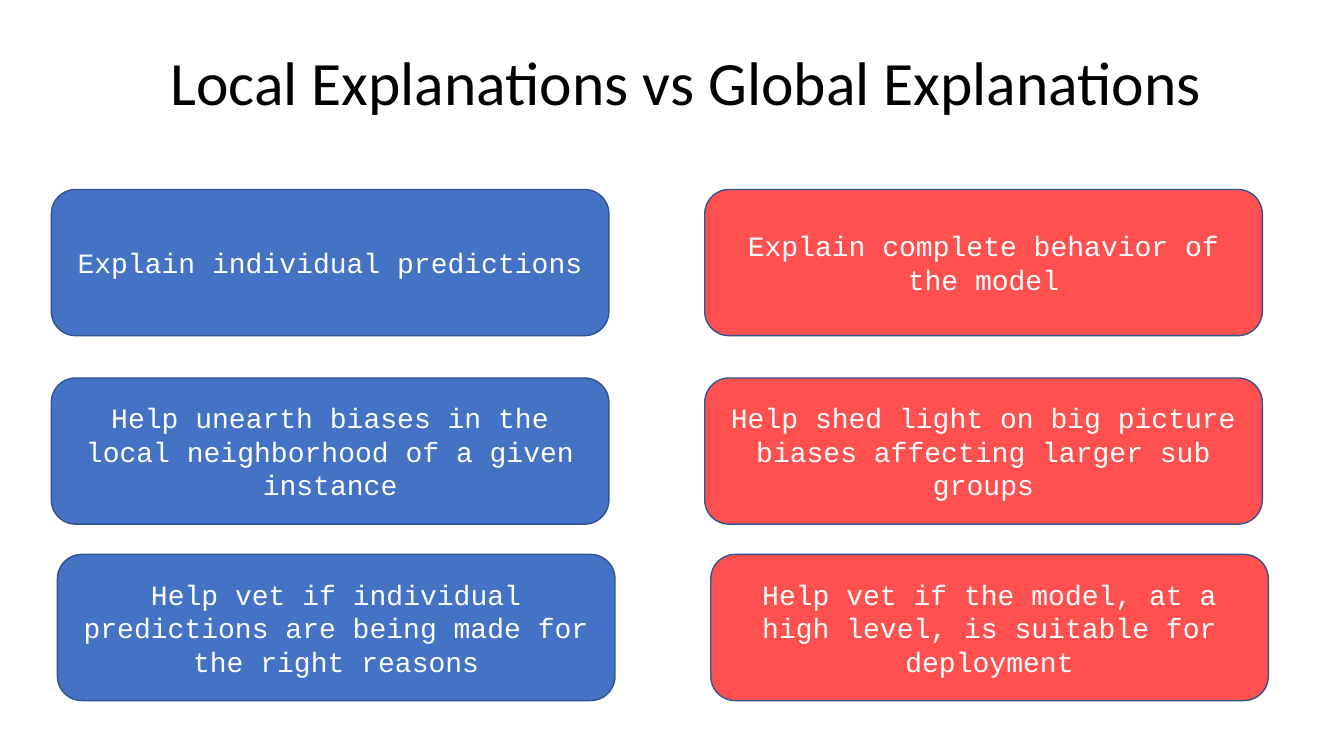
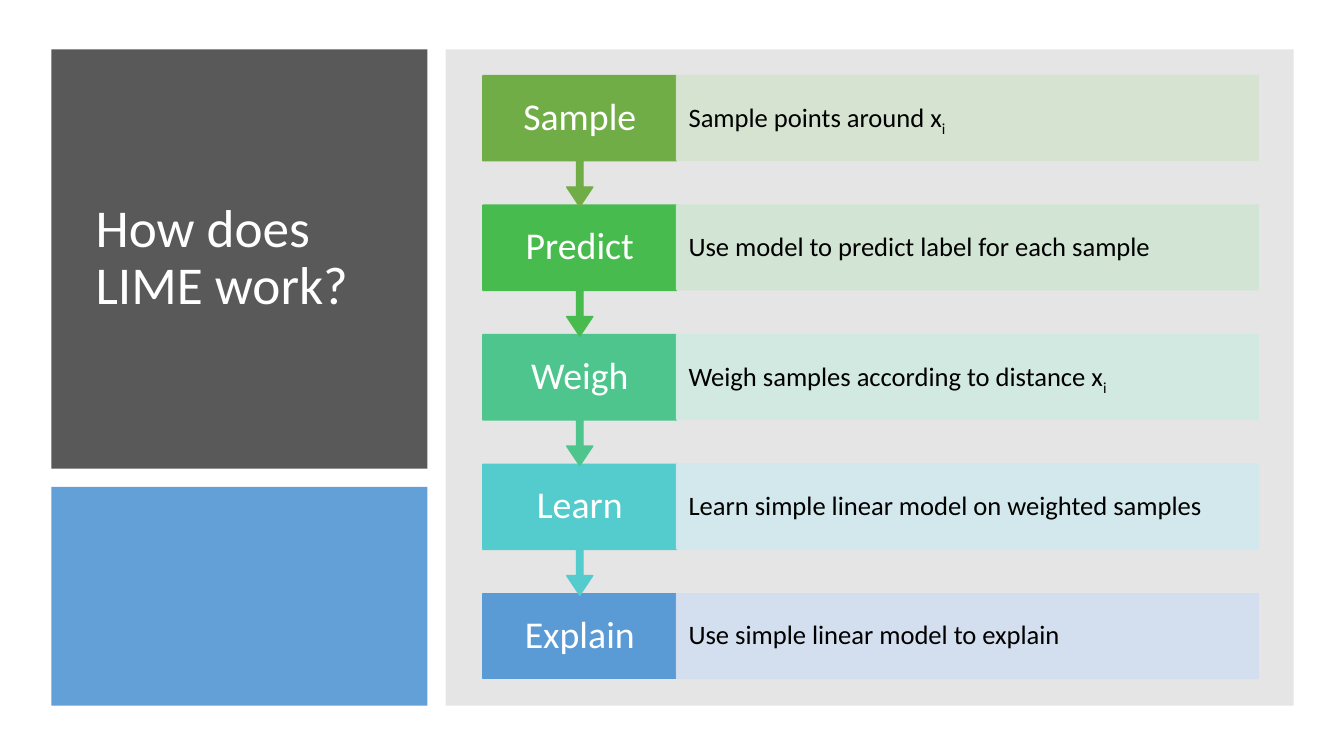
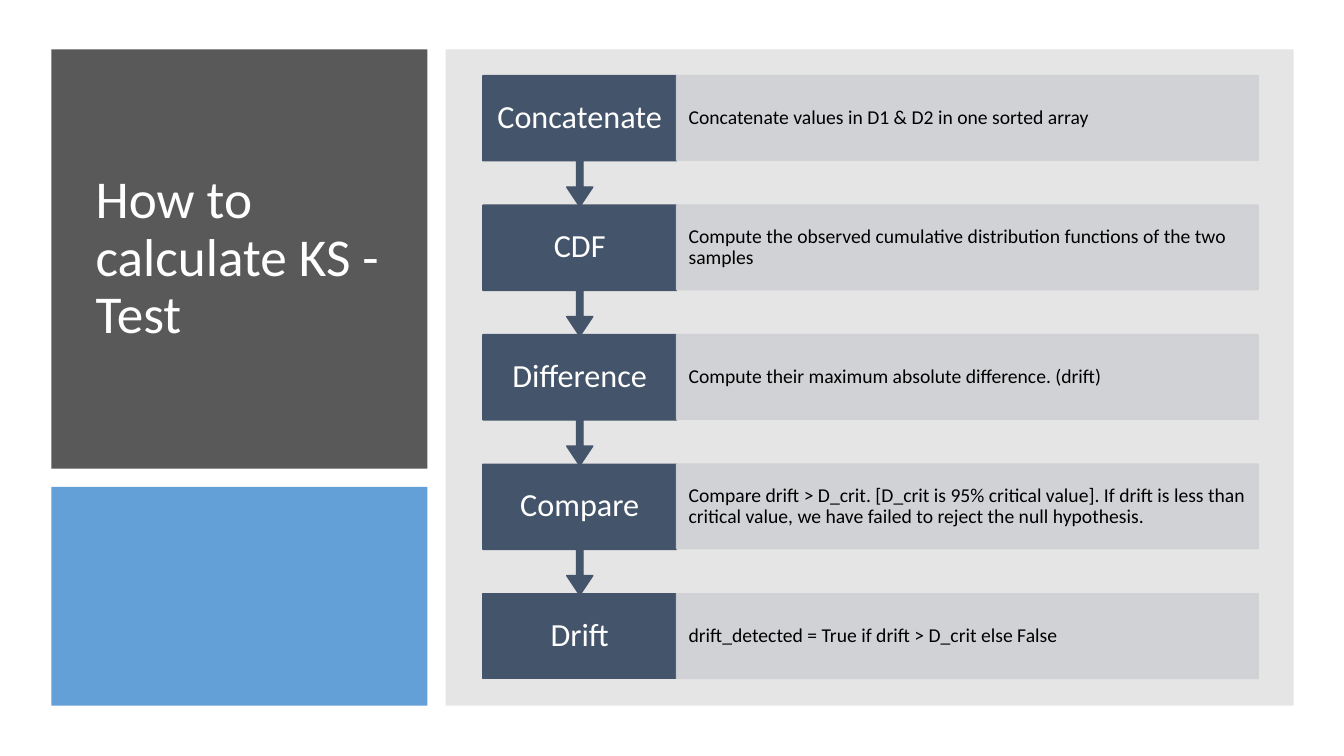
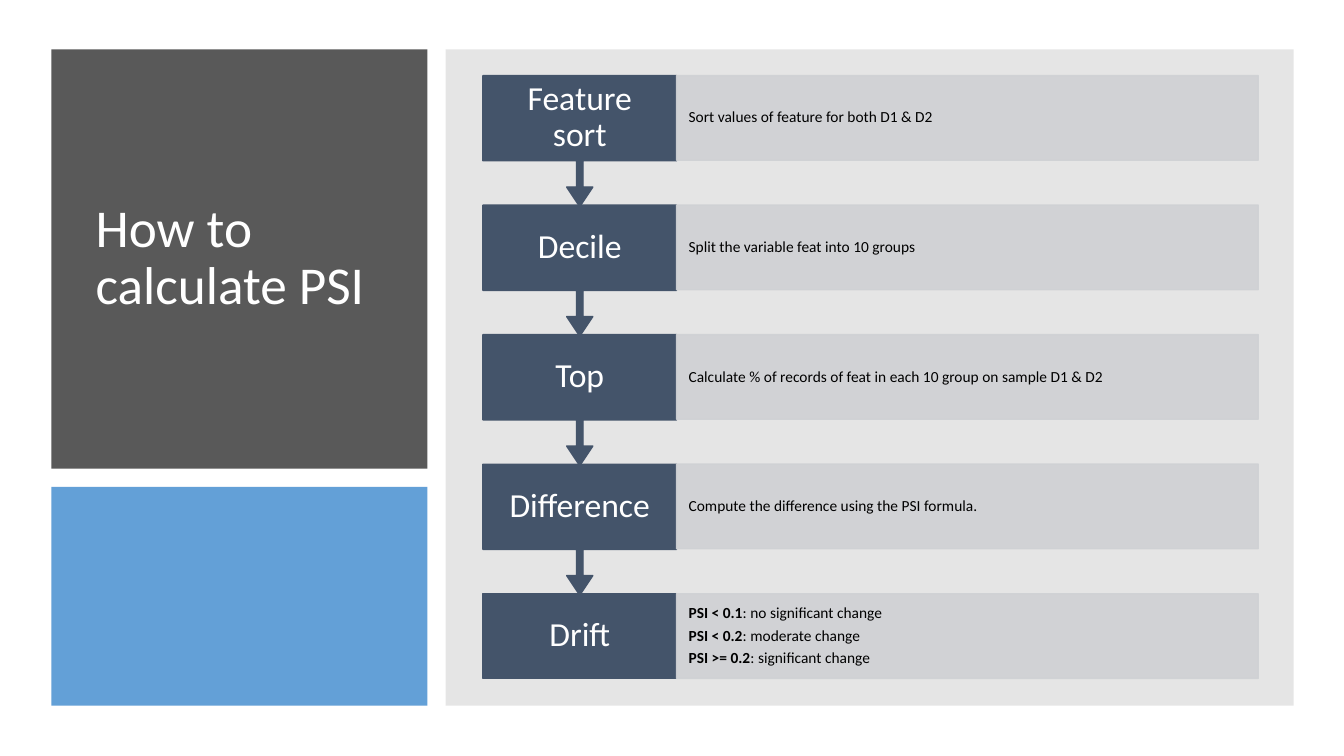
"""Build four slides on model explanations and drift tests."""
from lxml import etree
from pptx import Presentation, util as u
from pptx.dml.color import RGBColor
from pptx.enum import shapes, text
from pptx.oxml import ns

KIND = shapes.MSO_SHAPE
LEFT, MID = text.PP_ALIGN.LEFT, text.PP_ALIGN.CENTER
WHITE, BLACK = "FFFFFF", "000000"
BLUE, RED, EDGE = "4472C4", "FF5050", "325491"
DARK, SKY, GREY = "595959", "5B9BD5", "808080"
SLATE, PALE = "44546A", "CFD1D4"


def paint(fill, tone, alpha=100):
    fill.solid()
    fill.fore_color.rgb = RGBColor.from_string(tone)
    if alpha < 100:
        node = fill._xPr.find(ns.qn("a:solidFill"))[0]
        etree.SubElement(node, ns.qn("a:alpha")).set("val", str(alpha * 1000))


def put(page, kind, place, tone=None, alpha=100, line=None, words="", size=20,
        ink=WHITE, font="Calibri", align=LEFT, side=0.1, lead=0.9, after=0):
    place = [u.Inches(n) for n in place]
    if kind is None:
        shape = page.shapes.add_textbox(*place)
    else:
        shape = page.shapes.add_shape(kind, *place)
        shape.shadow.inherit = False
        paint(shape.fill, tone, alpha)
        if line:
            paint(shape.line.fill, line, alpha)
            shape.line.width = u.Pt(1)
        else:
            shape.line.fill.background()
    if words:
        frame = shape.text_frame
        frame.word_wrap = True
        frame.vertical_anchor = text.MSO_ANCHOR.MIDDLE
        frame.margin_left = frame.margin_right = u.Inches(side)
        frame.text = words.replace("|", "")
        for para, row in zip(frame.paragraphs, words.split("\n")):
            first, *rest = row.split("|")
            para.text = first
            for part in rest:
                para.add_run().text = part
            para.alignment = align
            para.line_spacing = lead
            para.space_after = u.Pt(after)
            for run in para.runs:
                run.font.name = font
                run.font.size = u.Pt(size)
                paint(run.font.fill, ink)
    return shape


deck = Presentation()
deck.slide_width, deck.slide_height = u.Inches(13.33), u.Inches(7.5)
blank = deck.slide_layouts[6]

page = deck.slides.add_slide(blank)
put(page, None, (1.59, 0.12, 11.5, 1.45), size=44, ink=BLACK,
    words="Local Explanations vs Global Explanations")
sides = [
    (0.51, BLUE, ["Explain individual predictions",
                  "Help unearth biases in the local neighborhood of a given instance",
                  "Help vet if individual predictions are being made for the right reasons"]),
    (6.99, RED, ["Explain complete behavior of the model",
                 "Help shed light on big picture biases affecting larger sub groups",
                 "Help vet if the model, at a high level, is suitable for deployment"]),
]
spots = [(0, 1.88), (0, 3.75), (0.06, 5.5)]
for left, tone, cards in sides:
    for (shift, top), words in zip(spots, cards):
        put(page, KIND.ROUNDED_RECTANGLE, (left + shift, top, 5.53, 1.45), tone,
            line=EDGE, words=words, font="Courier New", align=MID, lead=1.0)

flows = [
    ("How does LIME work?", 27, 19, [
        ("Sample", "Sample points around x|i", "70AD47", "D5E3CF"),
        ("Predict", "Use model to predict label for each sample", "48BB4F", "D0E6D4"),
        ("Weigh", "Weigh samples according to distance x|i", "4DC58D", "D0EAE1"),
        ("Learn", "Learn simple linear model on weighted samples", "54CCCD", "D1E9ED"),
        ("Explain", "Use simple linear model to explain", SKY, "D2DEEF"),
    ]),
    ("How to calculate KS - Test", 23, 14, [
        ("Concatenate", "Concatenate values in D1 & D2 in one sorted array", SLATE, PALE),
        ("CDF", "Compute the observed cumulative distribution functions of the two samples",
         SLATE, PALE),
        ("Difference", "Compute their maximum absolute difference. (drift)", SLATE, PALE),
        ("Compare", "Compare drift > D_crit. [D_crit is 95% critical value]. If drift is "
         "less than critical value, we have failed to reject the null hypothesis.",
         SLATE, PALE),
        ("Drift", "drift_detected = True if drift > D_crit else False", SLATE, PALE),
    ]),
    ("How to calculate PSI", 24, 11, [
        ("Feature sort", "Sort values of feature for both D1 & D2", SLATE, PALE),
        ("Decile", "Split the variable feat into 10 groups", SLATE, PALE),
        ("Top", "Calculate % of records of feat in each 10 group on sample D1 & D2",
         SLATE, PALE),
        ("Difference", "Compute the difference using the PSI formula.", SLATE, PALE),
        ("Drift", "PSI < 0.1|: no significant change\nPSI < 0.2|: moderate change\n"
         "PSI >= 0.2|: significant change", SLATE, PALE),
    ]),
]
first, last, high = 0.75, 5.89, 0.84
for title, big, small, steps in flows:
    page = deck.slides.add_slide(blank)
    put(page, KIND.RECTANGLE, (0.51, 0.49, 3.73, 4.16), DARK)
    put(page, None, (0.85, 0.8, 3.11, 3.54), words=title, size=38)
    put(page, KIND.RECTANGLE, (0.51, 4.83, 3.73, 2.17), SKY, 95)
    put(page, KIND.RECTANGLE, (4.42, 0.49, 8.41, 6.51), GREY, 20)
    end = len(steps) - 1
    for i in range(end, -1, -1):
        name, words, tone, tint = steps[i]
        top = first + i * (last - first) / end
        if i == end:
            put(page, KIND.RECTANGLE, (4.79, top, 1.92, high), tone, line=tone)
        else:
            call = put(page, KIND.UP_ARROW_CALLOUT, (4.79, top, 1.92, 1.3), tone, line=tone)
            call.rotation = 180
            for k, val in enumerate((0.05, 0.1, 0.15, 0.65)):
                call.adjustments[k] = val
        put(page, None, (4.79, top, 1.92, high), words=name, size=big,
            align=MID, side=0.14, after=round(big * 0.35))
        bar = put(page, KIND.RECTANGLE, (6.71, top, 5.77, high), tint, 90, tint, words,
                  small, BLACK, side=0.12, after=round(small * 0.35))
        for para in bar.text_frame.paragraphs:
            runs = para.runs
            if runs[-1].text == "i":
                runs[-1]._r.get_or_add_rPr().set("baseline", "-25000")
            elif len(runs) > 1:
                runs[0].font.bold = True

deck.save("out.pptx")
